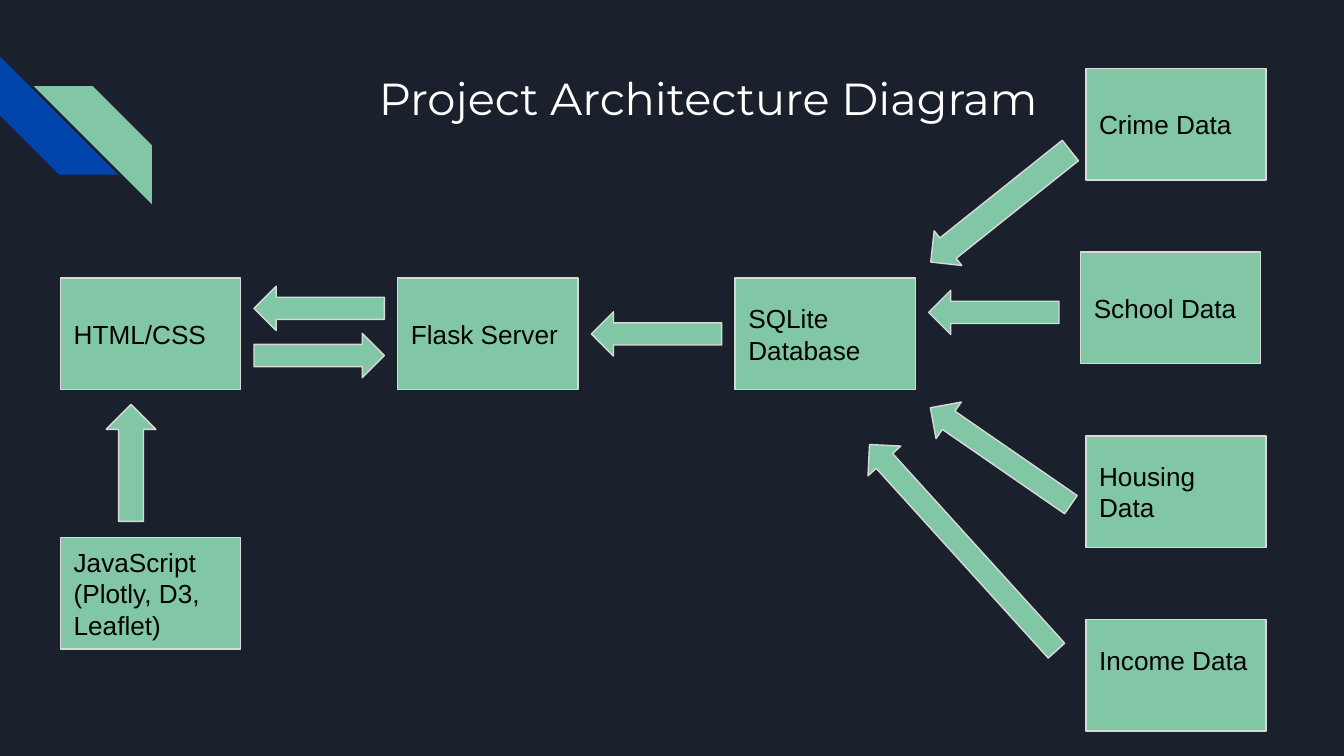
from pptx import Presentation
from pptx.dml.color import RGBColor
from pptx.enum.shapes import MSO_SHAPE as Shape
from pptx.enum.text import MSO_ANCHOR as Anchor, PP_ALIGN as Align
from pptx.util import Inches, Pt

NAVY = RGBColor(0x1B, 0x21, 0x2C)
BLUE = RGBColor(0x01, 0x45, 0xAC)
GREEN = RGBColor(0x82, 0xC7, 0xA5)
GREY = RGBColor(0xD9, 0xD9, 0xD9)
BLACK = RGBColor(0, 0, 0)
WHITE = RGBColor(0xFF, 0xFF, 0xFF)

SLIDE_W = 10
SLIDE_H = SLIDE_W * 9 / 16
BOX_W, BOX_H = 1.34, 0.83
ARROW_W, ARROW_H = 0.97, 0.33
LEFT_X, STEP_X = 0.45, 2.51              # pipeline columns
ROW_Y = 2.07                             # pipeline row
DATA_TOP, DATA_BOTTOM = 0.51, 4.61       # first and last data source


def add_filled(slide, kind, left, top, width, height, fill=GREEN, line=GREY,
               rotation=0):
    sp = slide.shapes.add_shape(kind, Inches(left), Inches(top),
                                Inches(width), Inches(height))
    sp.shadow.inherit = False
    sp.rotation = rotation
    sp.fill.solid()
    sp.fill.fore_color.rgb = fill
    if line is None:
        sp.line.fill.background()
    else:
        sp.line.color.rgb = line
        sp.line.width = Pt(0.75)
    return sp


def write(sp, text, size, font, color, align, anchor, bottom=0.1):
    tf = sp.text_frame
    settings = {
        "word_wrap": True, "vertical_anchor": anchor,
        "margin_left": Inches(0.1), "margin_right": Inches(0.1),
        "margin_top": Inches(0.1), "margin_bottom": Inches(bottom),
    }
    for name, value in settings.items():
        setattr(tf, name, value)
    p = tf.paragraphs[0]
    p.alignment = align
    r = p.add_run()
    r.text = text
    for name, value in {"size": Pt(size), "name": font}.items():
        setattr(r.font, name, value)
    r.font.color.rgb = color


def add_box(slide, text, left, top, bottom=0.1):
    sp = add_filled(slide, Shape.RECTANGLE, left, top, BOX_W, BOX_H)
    write(sp, text, 14, "Arial", BLACK, Align.LEFT, Anchor.MIDDLE, bottom)


def add_arrow(slide, left, top, width=ARROW_W, rotation=0, shaft=0.5):
    sp = add_filled(slide, Shape.LEFT_ARROW, left, top, width, ARROW_H,
                    rotation=rotation)
    sp.adjustments[0] = shaft


def add_stripes(slide):
    add_filled(slide, Shape.DIAGONAL_STRIPE, 0, 0.42, 0.88, 0.88,
               fill=BLUE, line=None, rotation=270)
    sp = add_filled(slide, Shape.DIAGONAL_STRIPE, 0.25, 0.64, 0.88, 0.88,
                    line=None)
    sp._element.spPr.xfrm.set("flipH", "1")


def add_title(slide, text):
    sp = slide.shapes.add_textbox(Inches(1.42), Inches(0.43),
                                  Inches(7.7), Inches(1))
    write(sp, text, 24, "Montserrat", WHITE, Align.CENTER, Anchor.TOP)


def main():
    prs = Presentation()
    prs.slide_width, prs.slide_height = Inches(SLIDE_W), Inches(SLIDE_H)
    slide = prs.slides.add_slide(prs.slide_layouts[6])
    slide.background.fill.solid()
    slide.background.fill.fore_color.rgb = NAVY

    add_stripes(slide)

    # Data sources, evenly spaced: (text, left, bottom inset)
    sources = [
        ("Crime Data", 8.08, 0.1),
        ("School Data", 8.04, 0.1),
        ("Housing Data", 8.08, 0.1),
        ("Income Data", 8.08, 0.33),
    ]
    step = (DATA_BOTTOM - DATA_TOP) / (len(sources) - 1)
    for i, (text, left, bottom) in enumerate(sources):
        add_box(slide, text, left, DATA_TOP + i * step, bottom)

    # Pipeline and front-end scripts
    for i, text in enumerate(["HTML/CSS", "Flask Server", "SQLite Database"]):
        add_box(slide, text, LEFT_X + i * STEP_X, ROW_Y)
    add_box(slide, "JavaScript (Plotly, D3, Leaflet)", LEFT_X, 4)

    # Data sources to database
    add_arrow(slide, 6.78, 1.37, 1.33, 321.4, 0.589)
    add_arrow(slide, 6.91, 2.16)
    add_arrow(slide, 6.81, 3.23, 1.27, 34.6)
    add_arrow(slide, 6.13, 3.91, 2.07, 47.8)

    # Database to server, server to and from page, scripts to page
    add_arrow(slide, 4.4, 2.32)
    add_arrow(slide, 1.89, 2.13)
    add_arrow(slide, 1.89, 2.48, rotation=180)
    add_filled(slide, Shape.UP_ARROW, 0.79, 3.01, 0.37, 0.87)

    add_title(slide, "Project Architecture Diagram")
    prs.save("out.pptx")


if __name__ == "__main__":
    main()
